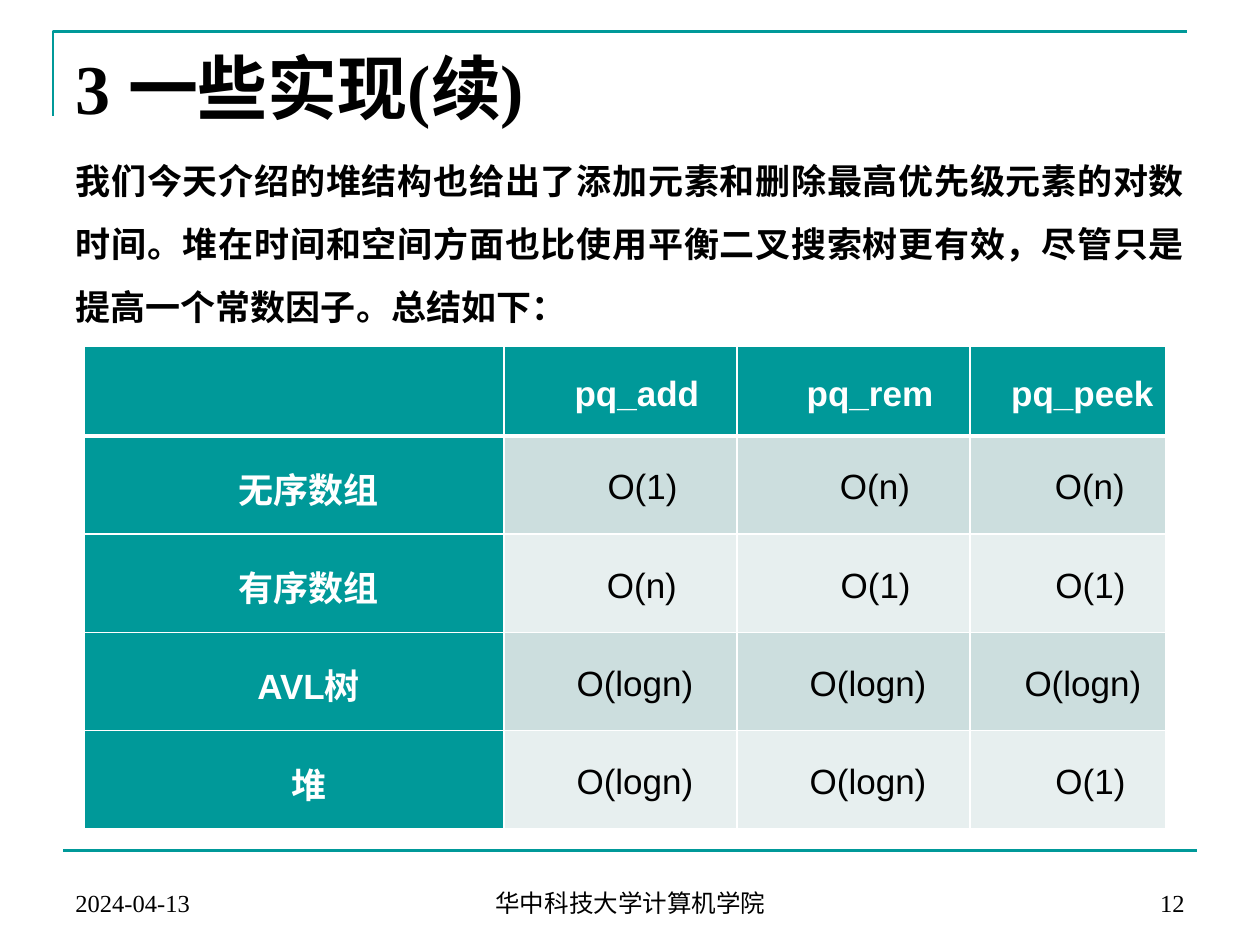
from pptx import Presentation
from pptx.dml.color import RGBColor
from pptx.enum.shapes import MSO_CONNECTOR
from pptx.enum.text import MSO_ANCHOR as ANCHOR, MSO_AUTO_SIZE, PP_ALIGN as ALIGN
from pptx.oxml.ns import qn
from pptx.util import Inches, Pt
from lxml.etree import SubElement

TEAL, WHITE, BLACK = "009999", "FFFFFF", "000000"
BANDS = ["CCDEDE", "E7EFEF"]


def color(value):
    return RGBColor.from_string(value)


def write(tf, text, font, size, bold=False, fill=BLACK, **layout):
    """Put one formatted paragraph in a text frame."""
    p = tf.paragraphs[0]
    for name, value in layout.items():
        setattr(p, name, value)
    r = p.add_run()
    r.text = text
    for name, value in {"name": font, "size": Pt(size), "bold": bold}.items():
        setattr(r.font, name, value)
    r.font.color.rgb = color(fill)
    return p


prs = Presentation()
prs.slide_width, prs.slide_height = Inches(10), Inches(7.5)
s = prs.slides.add_slide(prs.slide_layouts[1])

# Corner line at the top
builder = s.shapes.build_freeform(Inches(0.42), Inches(0.92))
builder.add_line_segments(
    [(Inches(0.42), Inches(0.25)), (Inches(9.42), Inches(0.25))], close=False)
corner = builder.convert_to_shape()
corner.fill.background()
corner.shadow.inherit = False

# Line above the footer
rule = s.shapes.add_connector(
    MSO_CONNECTOR.STRAIGHT, Inches(0.5), Inches(6.75), Inches(9.5), Inches(6.75))
SubElement(rule._element.spPr, qn("a:effectLst"))
for sp in (corner, rule):
    sp.line.color.rgb = color(TEAL)
    sp.line.width = Pt(1.5)

# Footer: date, school, page number
for text, left, width, align in [
    ("2024-04-13", 0.5, 2.33, ALIGN.LEFT),
    ("华中科技大学计算机学院", 3.42, 3.17, ALIGN.CENTER),
    ("12", 7.17, 2.33, ALIGN.RIGHT),
]:
    tf = s.shapes.add_textbox(
        Inches(left), Inches(6.83), Inches(width), Inches(0.5)).text_frame
    tf.word_wrap = True
    tf.vertical_anchor = ANCHOR.BOTTOM
    write(tf, text, "Times New Roman", 14, alignment=align)

# Title and body
title, body = s.shapes.title, s.placeholders[1]
for sp, top, height, anchor in [(title, 0.3, 0.78, ANCHOR.MIDDLE),
                                (body, 1.05, 5.62, ANCHOR.TOP)]:
    sp.left, sp.top = Inches(0.5), Inches(top)
    sp.width, sp.height = Inches(9), Inches(height)
    sp.text_frame.auto_size = MSO_AUTO_SIZE.NONE
    sp.text_frame.vertical_anchor = anchor
write(title.text_frame, "3 一些实现(续)", "Times New Roman", 40, True,
      alignment=ALIGN.LEFT)
p = write(
    body.text_frame,
    "我们今天介绍的堆结构也给出了添加元素和删除最高优先级元素的对数时间。"
    "堆在时间和空间方面也比使用平衡二叉搜索树更有效，尽管只是提高一个常数因子。"
    "总结如下：",
    "Arial", 20, True,
    alignment=ALIGN.JUSTIFY, line_spacing=1.5, space_before=Pt(4))
pPr = p._p.get_or_add_pPr()
pPr.set("marL", "0")
pPr.set("indent", "0")
SubElement(pPr, qn("a:buNone"))

# Table of costs: each cell is its text and left margin
rows = [
    [("", 0), ("pq_add", 0.03), ("pq_rem", 0.03), ("pq_peek", 0)],
    [("无序数组", 0), ("O(1)", 0.12), ("O(n)", 0.11), ("O(n)", 0.12)],
    [("有序数组", 0), ("O(n)", 0.11), ("O(1)", 0.12), ("O(1)", 0.13)],
    [("AVL树", 0), ("O(logn)", 0), ("O(logn)", 0), ("O(logn)", 0.01)],
    [("堆", 0), ("O(logn)", 0), ("O(logn)", 0), ("O(1)", 0.13)],
]
table = s.shapes.add_table(
    5, 4, Inches(0.67), Inches(2.75), Inches(8.58), Inches(3.83)).table
for column, width in zip(table.columns, [3.33, 1.85, 1.85, 1.55]):
    column.width = Inches(width)
for row, height in zip(table.rows, [0.71] + [0.78] * 4):
    row.height = Inches(height)

cell_format = {"vertical_anchor": ANCHOR.MIDDLE, "margin_left": 0,
               "margin_top": Inches(0.02), "margin_right": 0, "margin_bottom": 0}
for i, row in enumerate(rows):
    for j, (text, margin) in enumerate(row):
        cell = table.cell(i, j)
        for name, value in cell_format.items():
            setattr(cell, name, value)
        head = i == 0 or j == 0

        # White borders, thicker below the header row
        tcPr = cell._tc.get_or_add_tcPr()
        for side in "LRTB":
            thick = (i, side) in [(0, "B"), (1, "T")]
            ln = SubElement(tcPr, qn(f"a:ln{side}"), w=str(Pt(3 if thick else 1)))
            SubElement(SubElement(ln, qn("a:solidFill")), qn("a:srgbClr"), val=WHITE)
        cell.fill.solid()
        cell.fill.fore_color.rgb = color(TEAL if head else BANDS[(i - 1) % 2])

        if text:
            p = write(cell.text_frame, text, "Arial", 20, head,
                      WHITE if head else BLACK, alignment=ALIGN.CENTER,
                      line_spacing=1.07, space_after=Pt(0.2))
            pPr = p._p.get_or_add_pPr()
            pPr.set("marL", str(Inches(margin)))
            pPr.set("indent", str(Inches(0.23)))

prs.save("out.pptx")
